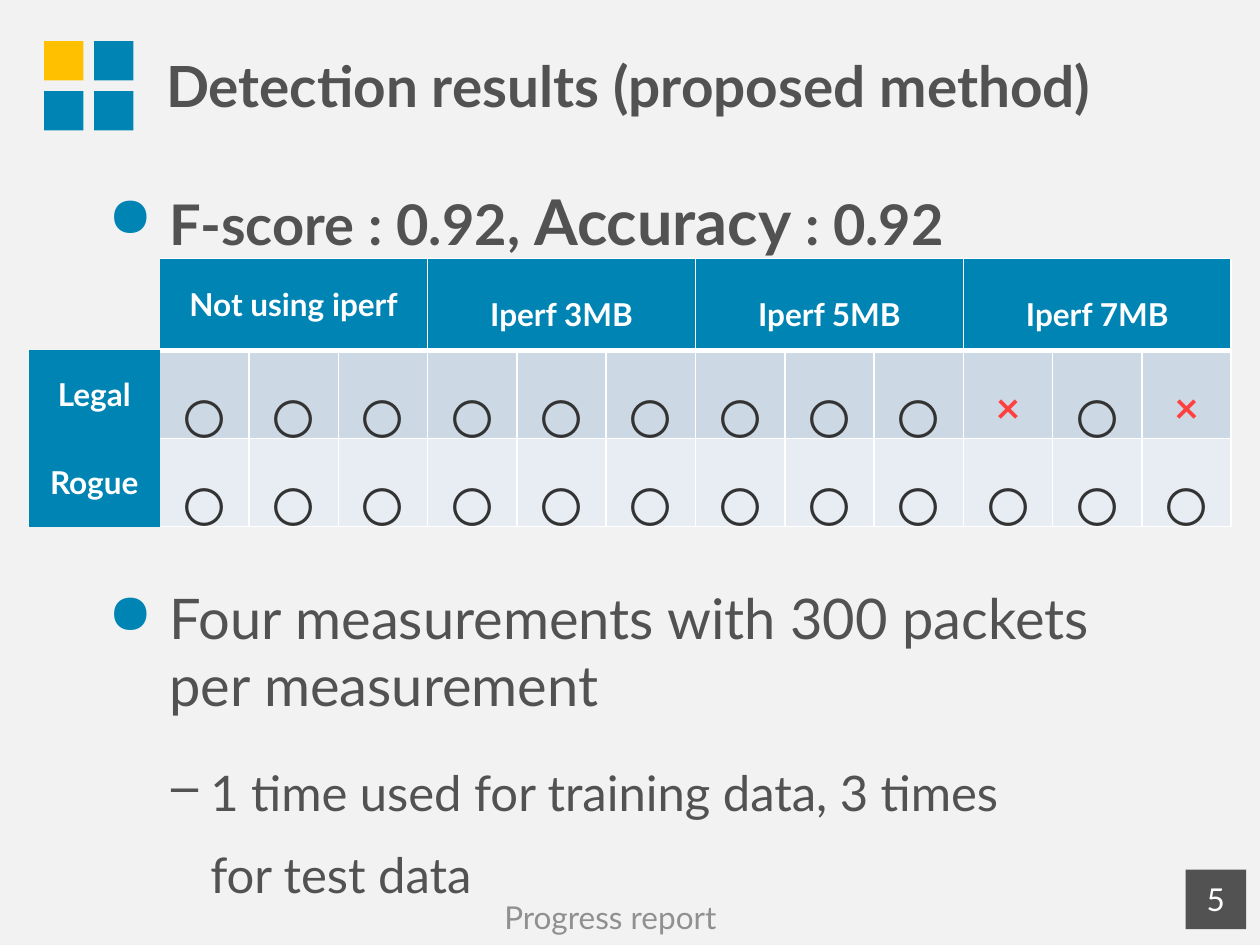
from lxml import etree
from pptx import Presentation
from pptx import util as u
from pptx.dml.color import RGBColor
from pptx.enum import shapes, text
from pptx.oxml import ns

FONT = "Lato"
COLORS = {
    "background": "F2F2F2", "blue": "0084B4", "yellow": "FFC000",
    "gray": "525252", "footer": "909090", "white": "FFFFFF",
    "legal": "CCD9E5", "rogue": "E7EDF2", "hit": "333333", "miss": "FF4040",
}
HIT, MISS = "〇", "×"
GROUPS = ["Not using iperf", "Iperf 3MB", "Iperf 5MB", "Iperf 7MB"]
TRIALS = 3
RESULTS = [
    ("Legal", "legal", [HIT] * 9 + [MISS, HIT, MISS]),
    ("Rogue", "rogue", [HIT] * 12),
]


def rgb(name):
    return RGBColor.from_string(COLORS[name])


def format_runs(paragraph, size, color, bold=False):
    for run in paragraph.runs:
        run.font.name = FONT
        run.font.size = u.Pt(size)
        run.font.bold = bold
        run.font.color.rgb = rgb(color)


def add_box(slide, left, top, width, height, color):
    shape = slide.shapes.add_shape(
        shapes.MSO_SHAPE.RECTANGLE, u.Cm(left), u.Cm(top), u.Cm(width), u.Cm(height))
    shape.shadow.inherit = False
    shape.fill.solid()
    shape.fill.fore_color.rgb = rgb(color)
    shape.line.fill.background()
    return shape


def add_text_frame(slide, left, top, width, height, anchor=text.MSO_ANCHOR.TOP):
    shape = slide.shapes.add_textbox(u.Cm(left), u.Cm(top), u.Cm(width), u.Cm(height))
    shape.text_frame.word_wrap = True
    shape.text_frame.vertical_anchor = anchor
    return shape.text_frame


def add_bullet(paragraph, character, margin, hanging, color=None):
    properties = paragraph._p.get_or_add_pPr()
    properties.set("marL", str(u.Cm(margin)))
    properties.set("indent", str(-u.Cm(hanging)))
    if color:
        bullet_color = etree.SubElement(properties, ns.qn("a:buClr"))
        etree.SubElement(bullet_color, ns.qn("a:srgbClr"), val=COLORS[color])
    etree.SubElement(properties, ns.qn("a:buChar"), char=character)


def set_borders(cell, **widths):
    properties = cell._tc.get_or_add_tcPr()
    for index, side in enumerate("LRTB"):
        width = widths.get(side, 1)
        line = etree.Element(ns.qn(f"a:ln{side}"), w=str(u.Pt(width)))
        if width:
            fill = etree.SubElement(line, ns.qn("a:solidFill"))
            etree.SubElement(fill, ns.qn("a:srgbClr"), val=COLORS["white"])
        else:
            etree.SubElement(line, ns.qn("a:noFill"))
        properties.insert(index, line)


def fill_cell(cell, words, fill, size, color, bold, spacing=1.0,
              anchor=text.MSO_ANCHOR.MIDDLE):
    cell.fill.solid()
    cell.fill.fore_color.rgb = rgb(fill)
    cell.vertical_anchor = anchor
    paragraph = cell.text_frame.paragraphs[0]
    paragraph.text = words
    paragraph.alignment = text.PP_ALIGN.CENTER
    paragraph.line_spacing = spacing
    format_runs(paragraph, size, color, bold)


def add_emblem(slide, left, top, size):
    square = 0.44 * size
    pitch = size - square
    for row in range(2):
        for column in range(2):
            color = "yellow" if row == column == 0 else "blue"
            add_box(slide, left + column * pitch, top + row * pitch, square, square, color)


def add_title(slide, left, top, width, height):
    frame = add_text_frame(slide, left, top, width, height, text.MSO_ANCHOR.MIDDLE)
    frame.text = "Detection results (proposed method)"
    format_runs(frame.paragraphs[0], 32.4, "gray", True)


def add_scores(slide, left, top, width, height):
    paragraph = add_text_frame(slide, left, top, width, height).paragraphs[0]
    for words in ("F-score : 0.92, ", "Accuracy", " : 0.92"):
        paragraph.add_run().text = words
    format_runs(paragraph, 32, "gray", True)
    paragraph.runs[1].font.size = u.Pt(36)
    add_bullet(paragraph, "●", 1.24, 1.24, "blue")


def add_measurements(slide, left, top, width, height):
    frame = add_text_frame(slide, left, top, width, height)
    summary = frame.paragraphs[0]
    summary.text = "Four measurements with 300 packets \vper measurement"
    format_runs(summary, 32, "gray")
    add_bullet(summary, "●", 1.24, 1.24, "blue")
    detail = frame.add_paragraph()
    detail.text = "1 time used for training data, 3 times \vfor test data"
    detail.level = 1
    detail.space_before = u.Pt(12)
    detail.line_spacing = 1.4
    format_runs(detail, 28, "gray")
    add_bullet(detail, "–", 2.06, 0.79)


def add_results_table(slide, left, top, label_width, trial_width, header_height, row_height):
    trials = TRIALS * len(GROUPS)
    frame = slide.shapes.add_table(
        len(RESULTS) + 1, trials + 1, u.Cm(left), u.Cm(top),
        u.Cm(label_width + trials * trial_width),
        u.Cm(header_height + len(RESULTS) * row_height))
    table = frame.table
    for index, column in enumerate(table.columns):
        column.width = u.Cm(trial_width if index else label_width)
    for index, row in enumerate(table.rows):
        row.height = u.Cm(row_height if index else header_height)

    table.cell(0, 0).fill.background()
    for index, group in enumerate(GROUPS):
        first = 1 + index * TRIALS
        cell = table.cell(0, first)
        cell.merge(table.cell(0, first + TRIALS - 1))
        fill_cell(cell, group, "blue", 18, "white", True, 1.5 if index else 1.0)
    for row, (label, band, marks) in enumerate(RESULTS, 1):
        fill_cell(table.cell(row, 0), label, "blue", 18, "white", True)
        for column, mark in enumerate(marks, 1):
            missed = mark == MISS
            fill_cell(table.cell(row, column), mark, band, 24,
                      "miss" if missed else "hit", missed, 1.5, text.MSO_ANCHOR.TOP)

    for row in range(len(RESULTS) + 1):
        set_borders(table.cell(row, 0), L=0, R=0, T=0, B=0)
        for column in range(1, trials + 1):
            set_borders(table.cell(row, column), L=0 if column == 1 else 1,
                        T=3 if row == 1 else 1, B=3 if row == 0 else 1)


def add_footer(slide, left, top, width, height):
    frame = add_text_frame(slide, left, top, width, height, text.MSO_ANCHOR.MIDDLE)
    frame.text = "Progress report"
    frame.paragraphs[0].alignment = text.PP_ALIGN.CENTER
    format_runs(frame.paragraphs[0], 18, "footer")


def add_page_number(slide, left, top, width, height):
    frame = add_box(slide, left, top, width, height, "gray").text_frame
    frame.text = "5"
    frame.vertical_anchor = text.MSO_ANCHOR.MIDDLE
    frame.paragraphs[0].alignment = text.PP_ALIGN.CENTER
    format_runs(frame.paragraphs[0], 18, "white")


def main():
    presentation = Presentation()
    presentation.slide_width = u.Cm(25.4)
    presentation.slide_height = u.Cm(19.05)
    slide = presentation.slides.add_slide(presentation.slide_layouts[6])
    slide.background.fill.solid()
    slide.background.fill.fore_color.rgb = rgb("background")
    add_emblem(slide, 0.89, 0.83, 1.8)
    add_title(slide, 3.1, 0.13, 22.3, 3.18)
    add_scores(slide, 1.93, 3.55, 23.24, 1.65)
    add_measurements(slide, 1.93, 11.64, 23.24, 6.3)
    add_footer(slide, 0.89, 17.98, 22.83, 1.02)
    add_page_number(slide, 23.9, 17.53, 1.22, 1.2)
    add_results_table(slide, 0.58, 5.21, 2.64, 1.8, 1.85, 1.75)
    presentation.save("out.pptx")


if __name__ == "__main__":
    main()
